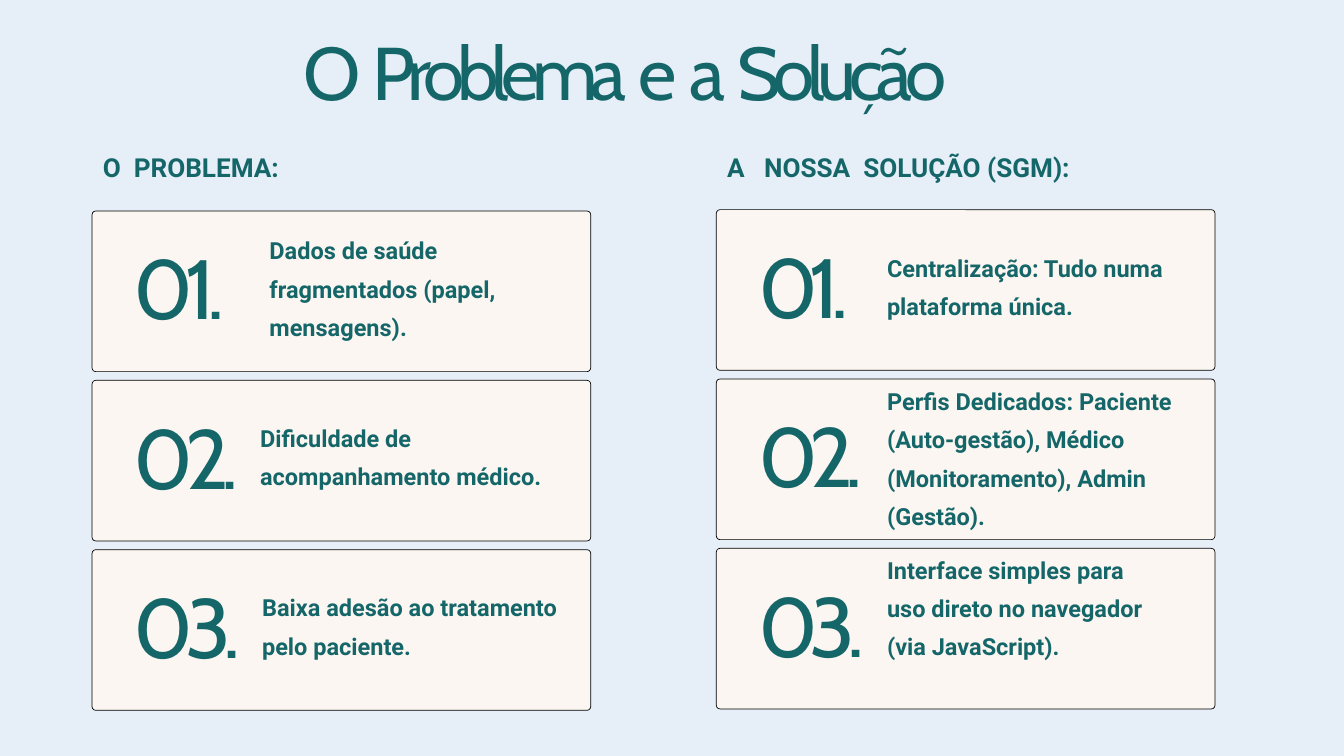
from pptx import Presentation, util as u
from pptx.dml.color import RGBColor
from pptx.enum import shapes, text

INK = {"back": "E6EEF7", "card": "FBF6F1", "text": "156669", "edge": "000000"}
COLS, ROWS = 200, 112.5
CELL = u.Inches(20) / COLS
PITCH = 25.2

LEFT = ("O  PROBLEMA:", 35.5, [
    ("Dados de saúde fragmentados (papel, mensagens).", (26.4, 2.3, 43.3, 17.3)),
    ("Dificuldade de acompanhamento médico.", (25, 5, 46.1, 17.3)),
    ("Baixa adesão ao tratamento pelo paciente.", (25.3, 5, 46.8, 23)),
])
RIGHT = ("A   NOSSA  SOLUÇÃO (SGM):", 55.5, [
    ("Centralização: Tudo numa plataforma única.", (25.4, 5.1, 43.3, 11.7)),
    ("Perfis Dedicados: Paciente (Auto-gestão), Médico (Monitoramento), Admin (Gestão).",
     (25.4, -0.3, 48.8, 28.6)),
    ("Interface simples para uso direto no navegador (via JavaScript).",
     (25.4, -0.4, 41.2, 28.6)),
])


def tint(name):
    """Return the named colour."""
    return RGBColor.from_string(INK[name])


def span(box):
    """Turn a box in grid cells into slide lengths."""
    return [u.Emu(round(n * CELL)) for n in box]


def write(slide, words, box, size, lead, font="Roboto", bold=False, track=0, align=None):
    """Place one paragraph of formatted text in a box."""
    frame = slide.shapes.add_textbox(*span(box)).text_frame
    frame.word_wrap = True
    frame.auto_size = text.MSO_AUTO_SIZE.SHAPE_TO_FIT_TEXT
    frame.margin_left = frame.margin_right = 0
    frame.margin_top = frame.margin_bottom = 0
    para = frame.paragraphs[0]
    para.alignment = align
    para.line_spacing = u.Pt(lead)
    run = para.add_run()
    run.text = words
    run.font.name, run.font.size, run.font.bold = font, u.Pt(size), bold
    run.font.color.rgb = tint("text")
    if track:
        run.font._element.set("spc", str(round(track * 100)))


def card(slide, box, num, words, area):
    """Draw a numbered card, with its text area relative to the box."""
    left, top, wide, high = box
    shape = slide.shapes.add_shape(shapes.MSO_SHAPE.ROUNDED_RECTANGLE, *span(box))
    shape.adjustments[0] = 0.55 / high
    shape.shadow.inherit = False
    shape.fill.solid()
    shape.fill.fore_color.rgb = tint("card")
    shape.line.color.rgb = tint("edge")
    shape.line.width = u.Pt(0.75)
    write(slide, f"{num:02}.", (left + 6.2, top + 6.7, 19.1, 12.7), 90, 86.3,
          font="Cabin", track=-8.6)
    dx, dy, width, height = area
    write(slide, words, (left + dx, top + dy, width, height), 25.2, 41, bold=True)


def column(slide, box, head, width, items):
    """Stack a heading and its cards inside a box."""
    left, top, wide, high = box
    write(slide, head, (left + 1.6, 20.9, width, 6.8), 28, 45.6, bold=True,
          align=text.PP_ALIGN.JUSTIFY)
    for row, (words, area) in enumerate(items):
        place = (left, top + row * PITCH, wide, high - 2 * PITCH)
        card(slide, place, row + 1, words, area)


def main():
    """Build and save the slide."""
    deck = Presentation()
    deck.slide_width, deck.slide_height = span((COLS, ROWS))
    slide = deck.slides.add_slide(deck.slide_layouts[6])
    slide.background.fill.solid()
    slide.background.fill.fore_color.rgb = tint("back")
    write(slide, "O  Problema  e  a  Solução", (45.1, 6.5, 109.8, 11.4), 80, 76.8,
          font="Cabin", track=-7.7)
    column(slide, (13.7, 31.4, 74.2, 74.3), *LEFT)
    column(slide, (106.6, 31.2, 74.2, 74.3), *RIGHT)
    deck.save("out.pptx")


if __name__ == "__main__":
    main()
